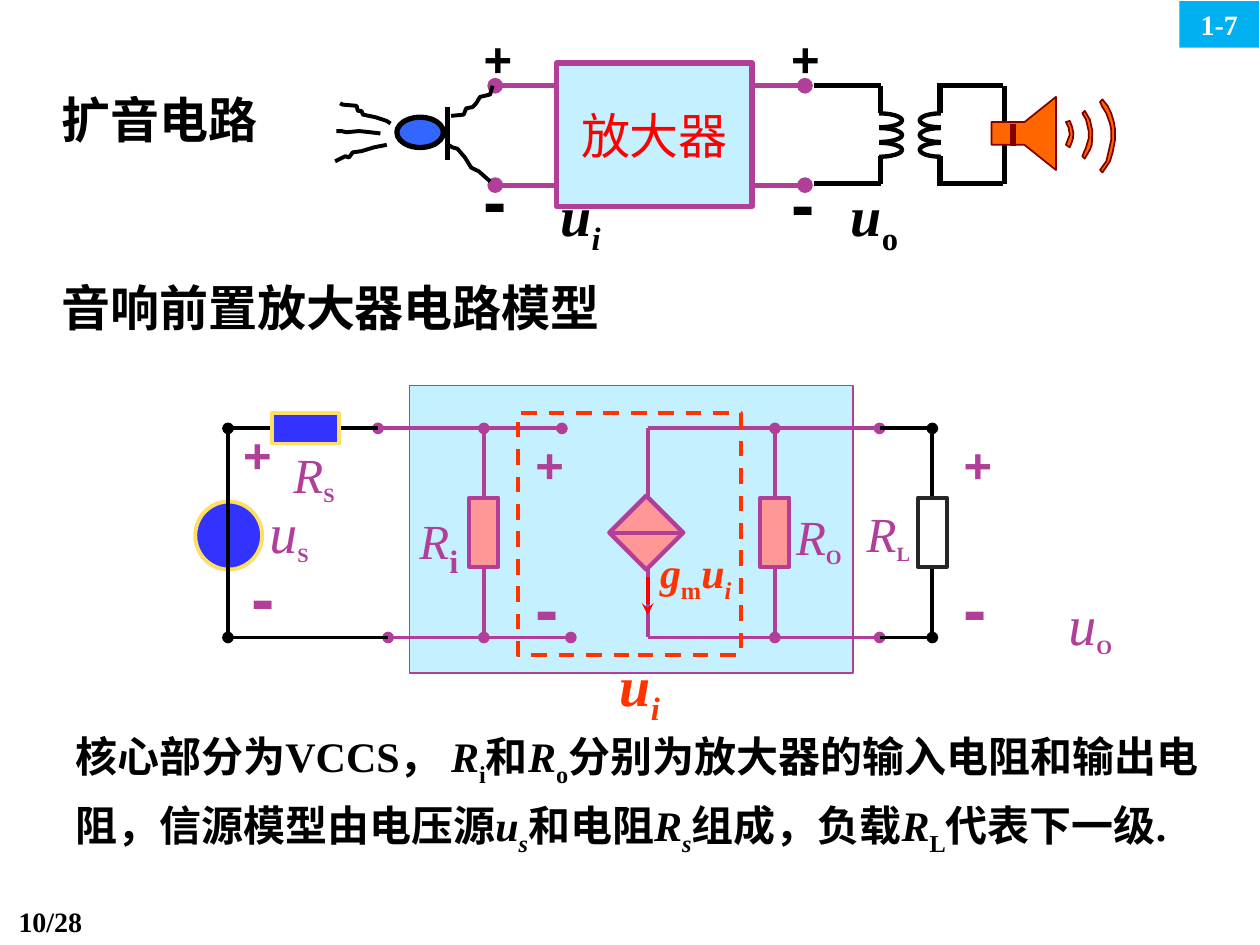
from lxml import etree
from pptx import Presentation
from pptx.dml.color import RGBColor
from pptx.enum.dml import MSO_LINE
from pptx.enum.shapes import MSO_CONNECTOR, MSO_SHAPE
from pptx.enum.text import MSO_ANCHOR, PP_ALIGN
from pptx.oxml.ns import qn
from pptx.util import Pt


class Theme:
    black, white, red, dark = "000000", "FFFFFF", "FF0000", "262626"
    purple, pale, pink, orange = "B13F9A", "C5F0FF", "FF9797", "FF3300"
    blue, yellow, badge, mic = "3333FF", "FFDE66", "00B0F0", "3366FF"
    horn, horn_edge = "FF6600", "800000"
    serif, sans, chinese = "Times New Roman", "Arial", "Noto Sans CJK SC"
    small, index, body, title, symbol, minus = 16, 20, 24, 28, 32, 40
    thin, wire, frame, thick = 1, 2.25, 2.5, 3


RECT, OVAL = MSO_SHAPE.RECTANGLE, MSO_SHAPE.OVAL

presentation = Presentation()
presentation.slide_width, presentation.slide_height = Pt(720), Pt(540)
slide = presentation.slides.add_slide(presentation.slide_layouts[6])
shapes = slide.shapes


def add_line(x1, y1, x2, y2, color, width=Theme.wire, head=None, tail=None):
    line = shapes.add_connector(MSO_CONNECTOR.STRAIGHT, Pt(x1), Pt(y1), Pt(x2), Pt(y2))
    line.line.color.rgb = RGBColor.from_string(color)
    line.line.width = Pt(width)
    outline = line.line._get_or_add_ln()
    for tag, arrow in (("a:headEnd", head), ("a:tailEnd", tail)):
        if arrow:
            etree.SubElement(outline, qn(tag), type=arrow)
    etree.SubElement(line._element.spPr, qn("a:effectLst"))
    return line


def add_box(kind, left, top, width, height, fill=None, color=None, weight=Theme.wire,
            runs=(), align=PP_ALIGN.LEFT, spacing=None):
    """Runs are (text, size, font, colour, style); style letters: b bold, i italic, _ subscript."""
    frame = Pt(left), Pt(top), Pt(width), Pt(height)
    if kind is None:
        shape = shapes.add_textbox(*frame)
    else:
        shape = shapes.add_shape(kind, *frame)
        shape.shadow.inherit = False
        shape.text_frame.vertical_anchor = MSO_ANCHOR.MIDDLE
        if fill:
            shape.fill.solid()
            shape.fill.fore_color.rgb = RGBColor.from_string(fill)
        else:
            shape.fill.background()
        if color:
            shape.line.color.rgb = RGBColor.from_string(color)
            shape.line.width = Pt(weight)
        else:
            shape.line.fill.background()
    shape.text_frame.word_wrap = True
    paragraph = shape.text_frame.paragraphs[0]
    paragraph.alignment = align
    paragraph.line_spacing = spacing
    for text, size, font, text_color, style in runs:
        run = paragraph.add_run()
        run.text = text
        run.font.size, run.font.name = Pt(size), font
        run.font.bold, run.font.italic = "b" in style, "i" in style
        run.font.color.rgb = RGBColor.from_string(text_color)
        properties = run.font._element
        if "_" in style:
            properties.set("baseline", "-25000")
        etree.SubElement(properties, qn("a:ea"), typeface=Theme.chinese)
    return shape


# Page number, section badge and headings
add_box(None, 0, 513.4, 54, 26.6, align=PP_ALIGN.RIGHT,
        runs=[("10/28", Theme.small, Theme.serif, Theme.black, "b")])
add_box(RECT, 674, 0.7, 45.4, 26.6, Theme.badge, align=PP_ALIGN.CENTER,
        runs=[("1-7", Theme.small, Theme.serif, Theme.white, "b")])
for heading, top, width in (("扩音电路", 47.5, 130), ("音响前置放大器电路模型", 154.8, 328)):
    add_box(None, 28, top, width, 41,
            runs=[(heading, Theme.title, Theme.chinese, Theme.black, "b")])

# Explanation
explanation = [("核心部分为VCCS， ", "b"), ("R", "bi"), ("i", "b_"), ("和", "b"), ("R", "bi"),
               ("o", "b_"), ("分别为放大器的输入电阻和输出电阻，信源模型由电压源", "b"),
               ("u", "bi"), ("s", "bi_"), ("和电阻", "b"), ("R", "bi"), ("s", "bi_"),
               ("组成，负载", "b"), ("R", "bi"), ("L", "b_"), ("代表下一级.", "b")]
add_box(None, 36, 407.5, 665.3, 77, spacing=1.2,
        runs=[(text, Theme.body, Theme.serif, Theme.black, style) for text, style in explanation])

# Amplifier block with its ports
for y in (49, 105.8):
    add_line(283, y, 460, y, Theme.purple, Theme.thick, "oval", "oval")
add_box(RECT, 318.2, 36, 111.6, 82, Theme.pale, Theme.purple, Theme.thick,
        [("放大器", Theme.title, Theme.chinese, Theme.red, "")], PP_ALIGN.CENTER)

# Transformer: coils, half of each covered, then its leads
for left, width, cover_left, cover_width in ((488.9, 26.6, 469.8, 32.4), (525.6, 23.8, 537.8, 28.8)):
    for turn in range(3):
        add_box(OVAL, left, 64.8 + 8.4 * turn, width, 8, None, Theme.black, Theme.frame)
    add_box(RECT, cover_left, 60.6, cover_width, 33, Theme.white)
for x in (503.3, 537.1):
    add_line(x, 49, x, 64.8, Theme.black, Theme.thick)
    add_line(x, 89.3, x, 105, Theme.black, Theme.thick)
for y in (49, 105):
    add_line(465, y, 503.3, y, Theme.black, Theme.thick)
    add_line(535.7, y, 573, y, Theme.black, Theme.thick)
add_line(573.8, 49, 573.8, 105, Theme.black, Theme.thick)

# Speaker horn and three sound arcs in one outline
speaker = [
    [(566.6, 69.8), (585.4, 69.8), (603.4, 55.4), (603.4, 97.2), (585.4, 82.8), (566.6, 82.8)],
    [(609.1, 69.8), (611.3, 69.1), (612.7, 72.7), (613.4, 76.3), (613.1, 79.2), (612.7, 80.6),
     (611.3, 84.2), (609.1, 82.8), (611.3, 77), (610.6, 72.7)],
    [(619.9, 63.4), (622.8, 68.4), (624.2, 74.9), (623.9, 82.8), (622.8, 85.7), (619.9, 90.7),
     (618.5, 89.3), (620.6, 84.2), (622.1, 79.2), (622.1, 74.9), (620.6, 68.4), (618.5, 64.8)],
    [(628.6, 58.3), (630, 56.9), (632.9, 60.5), (635, 64.8), (636.5, 69.8), (637.2, 74.2),
     (637.2, 79.9), (635.8, 87.1), (634.3, 92.2), (630, 98.6), (628.6, 97.2), (632.2, 92.2),
     (633.6, 86.4), (635, 79.9), (635, 74.2), (634.3, 70.6), (632.2, 64.8), (630, 61.2)]]
# Incoming sound waves and microphone leads
waves = [
    [(194.4, 59), (195.8, 59.8), (203.8, 60.5), (204.5, 63.4), (206.6, 63.4), (207.4, 65.5),
     (214.6, 67), (221, 69.1), (223.2, 70.6)],
    [(192.2, 74.9), (195.1, 74.9), (198, 75.6), (205.2, 74.9), (211.7, 75.6), (217.4, 76.3)],
    [(191.5, 92.2), (197.3, 89.3), (199.4, 90), (201.6, 87.1), (206.6, 86.4), (213.8, 84.2),
     (221, 82.8)],
    [(257.8, 66.2), (265, 65.5), (266.4, 61.9), (270, 61.2), (272.2, 59), (274.3, 55.4),
     (280.1, 54), (281.5, 49)],
    [(256.3, 82.8), (258.5, 84.2), (261.4, 85), (265.7, 90), (269.3, 95.8), (273.6, 97.9),
     (280.1, 103.7)]]
for contours, closed in [(speaker, True)] + [([wave], False) for wave in waves]:
    builder = None
    for contour in contours:
        points = [(Pt(x), Pt(y)) for x, y in contour]
        if builder is None:
            builder = shapes.build_freeform(*points[0])
        else:
            builder.move_to(*points[0])
        builder.add_line_segments(points[1:], close=closed)
    outline = builder.convert_to_shape()
    outline.shadow.inherit = False
    if closed:
        outline.fill.solid()
        outline.fill.fore_color.rgb = RGBColor.from_string(Theme.horn)
    else:
        outline.fill.background()
    outline.line.color.rgb = RGBColor.from_string(Theme.horn_edge if closed else Theme.black)
    outline.line.width = Pt(Theme.thin if closed else Theme.wire)
add_line(578.9, 70.6, 578.9, 83.5, Theme.horn_edge, Theme.thick)

# Microphone
add_box(OVAL, 226.8, 67, 26.6, 17.3, Theme.mic, Theme.black, Theme.thick)
add_line(255.6, 61.2, 255.6, 91.4, Theme.black, Theme.thick)

# Circuit model: panel, voltage source and wires
add_box(RECT, 234, 220.3, 253.4, 164.2, Theme.pale, Theme.purple, Theme.thin)
add_box(OVAL, 111.6, 286.6, 38.2, 38.9, Theme.blue, Theme.yellow)
TOP, BOTTOM = 244.8, 364.3
for y, source_left, input_left, input_right in ((TOP, 127.4, 216, 321.1),
                                                (BOTTOM, 133.2, 221.8, 326.2)):
    add_line(input_left, y, input_right, y, Theme.purple, head="oval", tail="oval")
    add_line(370.1, y, 502.6, y, Theme.purple, tail="oval")
    add_line(source_left, y, input_left, y, Theme.black)
    add_line(502.6, y, 535.7, y, Theme.black)
for x, color, end in ((130.3, Theme.black, "oval"), (276.5, Theme.purple, "oval"),
                      (370.1, Theme.purple, None), (442.8, Theme.purple, "oval"),
                      (532.8, Theme.black, "oval")):
    add_line(x, TOP, x, BOTTOM, color, head=end, tail=end)

# Resistors and controlled current source
add_box(RECT, 155.5, 236.2, 38.2, 17.3, Theme.blue, Theme.yellow)
for center, fill, color in ((276.5, Theme.pink, Theme.purple), (442.8, Theme.pink, Theme.purple),
                            (532.8, Theme.white, Theme.dark)):
    add_box(RECT, center - 8.3, 284.4, 16.6, 39.6, fill, color)
source = add_box(MSO_SHAPE.DIAMOND, 348.2, 283.3, 42.2, 42.2, Theme.pink, Theme.purple, Theme.frame)
bar = add_line(348.2, 304.4, 390.4, 304.4, Theme.purple)
bar.begin_connect(source, 1)
bar.end_connect(source, 3)
add_line(370.1, 329.8, 370.1, 351.4, Theme.red, tail="stealth")
add_box(RECT, 295.9, 236.2, 127.4, 138.2, None, Theme.orange).line.dash_style = MSO_LINE.DASH

# Polarity signs: plus and minus of each port
for left, plus_top, minus_left, minus_top, color in (
        (269.3, 13, 269.3, 85.7, Theme.black), (445, 13, 445, 87.8, Theme.black),
        (131.8, 239, 136.8, 312.5, Theme.purple), (298.8, 244.8, 298.8, 319, Theme.purple),
        (543.6, 244.8, 543.6, 319, Theme.purple)):
    add_box(None, left, plus_top, 40, 41, runs=[("+", Theme.title, Theme.sans, color, "b")])
    add_box(None, minus_left, minus_top, 28, 55.4, runs=[("-", Theme.minus, Theme.sans, color, "b")])

# Quantity labels: symbol with its subscript
for left, top, width, color, parts in (
        (313.2, 99.4, 46, Theme.black, [("u", Theme.symbol, "bi"), ("i", Theme.symbol, "bi_")]),
        (479, 99.4, 46, Theme.black, [("u", Theme.symbol, "bi"), ("o", Theme.symbol, "b_")]),
        (347, 368, 50, Theme.orange, [("u", Theme.symbol, "bi"), ("i", Theme.symbol, "bi_")]),
        (603.5, 333.4, 50, Theme.purple, [("u", Theme.symbol, "i"), ("O", Theme.index, "b_")]),
        (146.9, 280.8, 42, Theme.purple, [("u", Theme.symbol, "i"), ("S", Theme.index, "b_")]),
        (160.6, 250.6, 44, Theme.purple, [("R", Theme.title, "i"), ("S", Theme.index, "b_")]),
        (232.6, 284.4, 42, Theme.purple, [("R", Theme.title, "i"), ("i", Theme.symbol, "b_")]),
        (447.8, 285.8, 46, Theme.purple, [("R", Theme.title, "i"), ("O", Theme.index, "b_")]),
        (488.2, 284.4, 44, Theme.purple, [("R", Theme.title, "i"), ("L", Theme.index, "b_")]),
        (370.1, 308.9, 64, Theme.orange, [("g", Theme.body, "bi"), ("m", Theme.body, "b_"),
                                          ("u", Theme.body, "bi"), ("i", Theme.body, "bi_")])):
    add_box(None, left, top, width, 44,
            runs=[(text, size, Theme.serif, color, style) for text, size, style in parts])

presentation.save("out.pptx")
